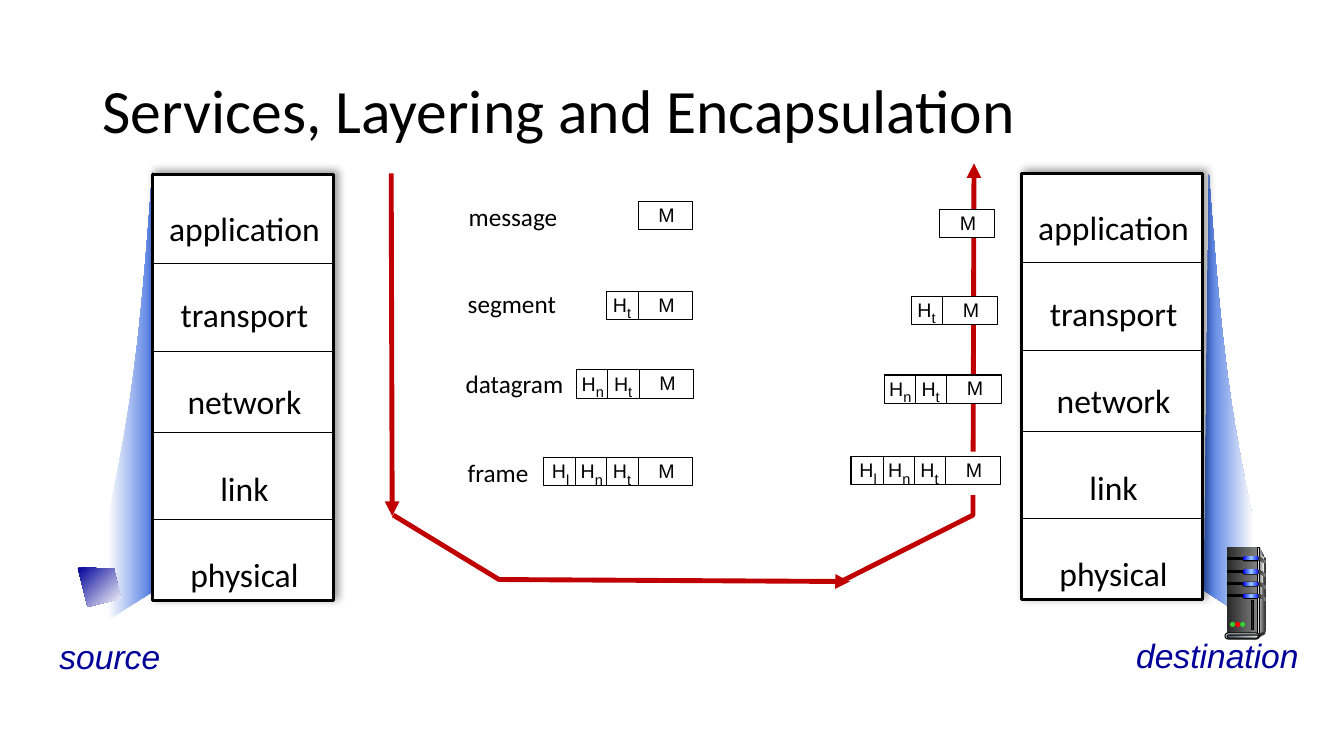
from dataclasses import dataclass

import pptx
import pptx.dml.color
import pptx.enum.shapes
import pptx.enum.text
import pptx.oxml
import pptx.oxml.ns
import pptx.util
from pptx.util import Inches

KIND = pptx.enum.shapes.MSO_SHAPE
ALIGN = pptx.enum.text.PP_ALIGN
ANCHOR = pptx.enum.text.MSO_ANCHOR
NS = 'xmlns:a="http://schemas.openxmlformats.org/drawingml/2006/main"'


@dataclass(frozen=True)
class Theme:
    body: str = "Calibri"
    label: str = "Arial"
    ink: str = "000000"
    paper: str = "FFFFFF"
    navy: str = "000099"
    route: str = "C00000"
    beam: str = "3C6CDF"
    dark: str = "292929"
    deep: str = "333333"
    grey: str = "808080"
    pale: str = "DDDDDD"
    glow: tuple = ("0000FF", "99CCFF", "0000FF")
    green: str = "33CC33"
    red: str = "FF0000"
    title: float = 44
    large: float = 24
    word: float = 18
    small: float = 14
    thin: float = 0.5
    fine: float = 0.75
    frame: float = 2.25
    bold: float = 3.5


T = Theme()
LAYERS = ("application", "transport", "network", "link", "physical")
# cell -> distances of its left edge and its text centre from the packet's right end
CELLS = {"M": (0.54, 0.26), "t": (0.85, 0.7), "n": (1.16, 1.0), "l": (1.48, 1.31)}
# word, its left and top, then right end and top of the sent and the received packet
UNITS = (
    ("message", 4.55, 1.95, (6.87, 2.0), (9.86, 2.08)),
    ("segment", 4.54, 2.81, (6.87, 2.89), (9.89, 2.94)),
    ("datagram", 4.52, 3.6, (6.88, 3.67), (9.93, 3.72)),
    ("frame", 4.54, 4.49, (6.87, 4.54), (9.92, 4.53)),
)


def rgb(code):
    return pptx.dml.color.RGBColor.from_string(code)


def xml(body):
    return pptx.oxml.parse_xml(body.replace(" ", f" {NS} ", 1))


def paint(shape, fill=None, line=None, width=T.fine, angle=0):
    """Fill with a colour, or with evenly spaced gradient stops if given a tuple."""
    shape.shadow.inherit = False
    if fill is None:
        shape.fill.background()
    elif isinstance(fill, str):
        shape.fill.solid()
        shape.fill.fore_color.rgb = rgb(fill)
    else:
        shape.fill.gradient()
        shape.fill.gradient_angle = -angle % 360
        stops = shape._element.spPr.find(".//" + pptx.oxml.ns.qn("a:gsLst"))
        for stop in list(stops):
            stops.remove(stop)
        for i, code in enumerate(fill):
            pos = 100000 * i // (len(fill) - 1)
            stops.append(xml(f'<a:gs pos="{pos}"><a:srgbClr val="{code}"/></a:gs>'))
    if line:
        shape.line.color.rgb = rgb(line)
        shape.line.width = pptx.util.Pt(width)
    else:
        shape.line.fill.background()
    return shape


def block(slide, kind, x, y, w, h, *fill, **style):
    shape = slide.shapes.add_shape(kind, Inches(x), Inches(y), Inches(w), Inches(h))
    if kind == KIND.ROUNDED_RECTANGLE:
        shape.adjustments[0] = 0.5
    return paint(shape, *fill, **style)


def outline(slide, points, closed=True, **style):
    spots = [(Inches(x), Inches(y)) for x, y in points]
    pen = slide.shapes.build_freeform(*spots[0])
    pen.add_line_segments(spots[1:], close=closed)
    return paint(pen.convert_to_shape(), **style)


def curve(a, b, c, d, steps=16):
    """Points along a cubic Bezier curve."""
    return [
        tuple((1 - t) ** 3 * p + 3 * (1 - t) ** 2 * t * q + 3 * (1 - t) * t * t * r + t ** 3 * s
              for p, q, r, s in zip(a, b, c, d))
        for t in (i / steps for i in range(steps + 1))
    ]


def route(slide, *points):
    shape = outline(slide, points, closed=False, line=T.route, width=T.bold)
    shape.line._get_or_add_ln().append(xml('<a:tailEnd type="triangle"/>'))


def rule(slide, x1, y1, x2, y2, width):
    line = slide.shapes.add_connector(
        pptx.enum.shapes.MSO_CONNECTOR.STRAIGHT, Inches(x1), Inches(y1), Inches(x2), Inches(y2))
    line.line.color.rgb = rgb(T.ink)
    line.line.width = pptx.util.Pt(width)
    line._element.spPr.append(xml("<a:effectLst />"))


def text(slide, lines, x, y, w, h, size=T.word, font=T.body, color=T.ink, italic=False,
         align=ALIGN.LEFT, anchor=ANCHOR.TOP, wrap=False, space=None, sub="", pad=0.1):
    frame = slide.shapes.add_textbox(Inches(x), Inches(y), Inches(w), Inches(h)).text_frame
    frame.word_wrap = wrap
    frame.vertical_anchor = anchor
    frame.margin_left = frame.margin_right = Inches(pad)
    for i, words in enumerate(lines):
        para = frame.paragraphs[0] if i == 0 else frame.add_paragraph()
        para.alignment = align
        if space:
            para.line_spacing = space
        for part, points in ((words, size), (sub, T.word)):
            if part:
                run = para.add_run()
                run.text = part
                run.font.size = pptx.util.Pt(points)
                run.font.name = font
                run.font.italic = italic
                run.font.color.rgb = rgb(color)
        if sub:
            run.font._element.set("baseline", "-25000")


def beam(slide, foot, base, side):
    """Widening light ray; side is 1 if it leans right of its foot, -1 if left."""
    def spot(dx, dy):
        return foot + side * dx, base + dy
    edge = curve(spot(0.44, -4.44), spot(0.31, -2.66), spot(0.23, -2.11), spot(0, -1))
    fill = (T.paper, T.beam)[::side]
    outline(slide, [spot(0, 0), spot(0.49, -0.31), *edge], fill=fill)


def stack(slide, x, y):
    box = block(slide, KIND.RECTANGLE, x, y, 1.8, 4.23, T.paper, T.ink, T.frame)
    box._element.spPr.find(pptx.oxml.ns.qn("a:effectLst")).append(xml(
        '<a:outerShdw blurRad="76200" dist="38100" dir="18900000" algn="bl" rotWithShape="0">'
        '<a:srgbClr val="000000"><a:alpha val="40000"/></a:srgbClr></a:outerShdw>'))
    text(slide, LAYERS, x - 0.05, y - 0.18, 1.93, 4.41, size=T.large,
         align=ALIGN.CENTER, wrap=True, space=2.15)
    for dy in (0.88, 1.76, 2.56, 3.42):
        rule(slide, x - 0.01, y + dy, x + 1.8, y + dy, T.thin)


def packet(slide, right, top, heads):
    """A payload cell with the given number of header cells to its left."""
    names = list(CELLS)[:heads + 1]
    width = CELLS[names[-1]][0]
    block(slide, KIND.RECTANGLE, right - width, top, width, 0.28, T.paper, T.ink)
    for name in names:
        edge, mid = CELLS[name]
        head, sub = ("M", "") if name == "M" else ("H", name)
        text(slide, [head], right - mid - 0.16, top - 0.03, 0.32, 0.32, sub=sub, size=T.small,
             font=T.label, align=ALIGN.CENTER, anchor=ANCHOR.MIDDLE, pad=0)
        if name != names[-1]:
            rule(slide, right - edge, top, right - edge, top + 0.28, T.fine)


def server(slide):
    rect, pill, dot = KIND.RECTANGLE, KIND.ROUNDED_RECTANGLE, KIND.OVAL
    metal = (T.dark, T.grey)
    outline(slide, [(12.49, 5.43), (12.55, 5.54), (12.55, 6.26), (12.47, 6.3)],
            fill=(T.pale, T.deep))
    block(slide, rect, 12.17, 5.43, 0.3, 0.87, metal)
    outline(slide, [(12.49, 5.48), (12.54, 5.55), (12.51, 5.9), (12.49, 6.27)],
            fill=(T.grey, "F8F8F8"))
    block(slide, rect, 12.47, 5.43, 0.02, 0.87, (T.deep, T.pale, T.deep), T.ink)
    for y in (5.52, 5.65, 5.77, 5.89):
        block(slide, rect, 12.17, y + 0.01, 0.17, 0.02, T.ink, T.ink)
        block(slide, pill, 12.32, y, 0.17, 0.05, T.ink)
        block(slide, pill, 12.33, y, 0.16, 0.04, T.glow)
        outline(slide, [(12.48, y), (12.55, y + 0.04), (12.55, y + 0.07), (12.48, y + 0.03)],
                fill=metal)
    outline(slide, [(12.48, 6.29), (12.48, 6.33), (12.55, 6.29), (12.55, 6.26)], fill=T.deep)
    block(slide, pill, 12.15, 6.28, 0.34, 0.06, T.pale, T.ink)
    block(slide, pill, 12.17, 6.3, 0.31, 0.03, ("44546A", "E7E6E6"), T.ink)
    for i, color in enumerate((T.green, T.red, T.green)):
        block(slide, dot, 12.2 + 0.05 * i, 6.17, 0.05, 0.05, color)
    block(slide, rect, 12.41, 5.96, 0.02, 0.29, T.dark, T.ink)


def main():
    deck = pptx.Presentation()
    deck.slide_width, deck.slide_height = Inches(13.33), Inches(7.5)
    slide = deck.slides.add_slide(deck.slide_layouts[6])
    text(slide, ["Services, Layering and Encapsulation"], 0.92, 0.4, 11.5, 1.45,
         size=T.title, anchor=ANCHOR.MIDDLE, wrap=True, space=0.9)
    route(slide, (3.88, 1.72), (3.89, 5.12))
    beam(slide, 12.43, 6.17, -1)
    beam(slide, 1.07, 6.15, 1)
    outline(slide, [(0.77, 5.63), (1.13, 5.64), (1.2, 5.94), (0.87, 6.02)],
            fill=(T.navy, T.paper), angle=45)
    server(slide)
    for name, x, y, w in (("source", 0.49, 6.26, 1.2), ("destination", 11.17, 6.25, 1.83)):
        text(slide, [name], x, y, w, 0.5, size=T.large, font=T.label, color=T.navy, italic=True)
    stack(slide, 1.51, 1.73)
    stack(slide, 10.13, 1.72)
    route(slide, (8.34, 5.77), (9.65, 5.11), (9.66, 1.62))
    block(slide, KIND.RECTANGLE, 8.7, 4.48, 1.32, 0.43, T.paper)
    route(slide, (3.9, 5.11), (4.95, 5.75), (8.43, 5.77))
    for heads, (word, x, y, sent, got) in enumerate(UNITS):
        text(slide, [word], x, y, 1.2, 0.4)
        packet(slide, *sent, heads)
        packet(slide, *got, heads)
    deck.save("out.pptx")


if __name__ == "__main__":
    main()
